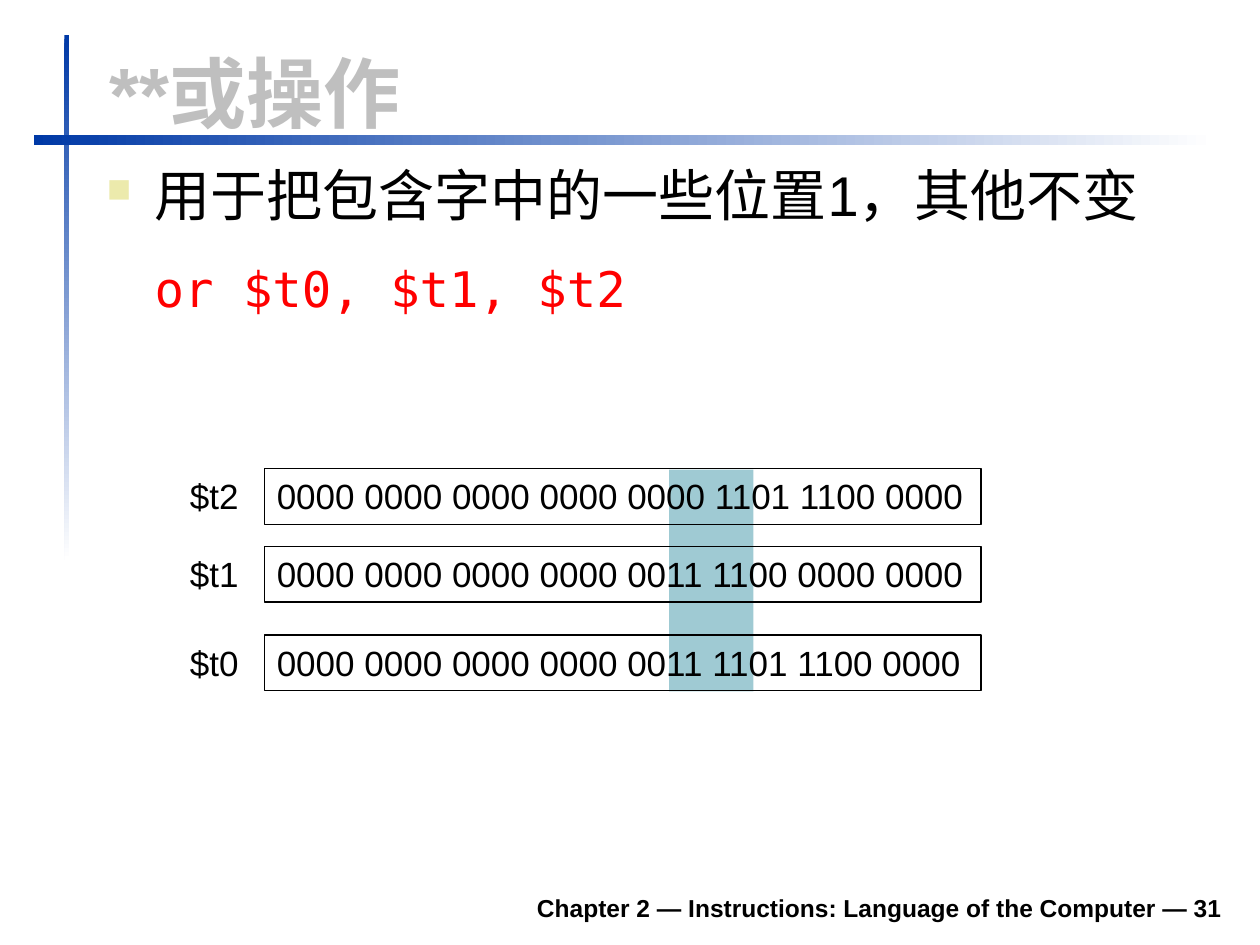
from pptx import Presentation, util as u
from pptx.dml.color import RGBColor
from pptx.enum import shapes, text
from pptx.oxml import xmlchemy as xc

Cm = u.Cm
COLORS = {"rule": "0039A6", "paper": "FFFFFF", "ink": "000000", "title": "BFBFBF",
          "bullet": "ECEAAC", "code": "FF0000", "band": "9FCAD3"}
REGISTERS = [("$t2", "0000 0000 0000 0000 0000 1101 1100 0000", 9.45),
             ("$t1", "0000 0000 0000 0000 0011 1100 0000 0000", 11.02),
             ("$t0", "0000 0000 0000 0000 0011 1101 1100 0000", 12.8)]


def rgb(name):
    return RGBColor.from_string(COLORS[name])


def apply(target, values):
    for key, value in values.items():
        setattr(target, key, value)


def write(paragraph, words, size, color="ink", font="Arial", bold=False):
    run = paragraph.add_run()
    run.text = words
    apply(run.font, {"size": u.Pt(size), "name": font, "bold": bold})
    run.font.color.rgb = rgb(color)


def add_box(slide, left, top, width, height):
    box = slide.shapes.add_shape(shapes.MSO_SHAPE.RECTANGLE,
                                 Cm(left), Cm(top), Cm(width), Cm(height))
    box.shadow.inherit = False
    box.fill.background()
    box.line.fill.background()
    return box


def add_rule(slide, left, top, width, height, angle):
    fill = add_box(slide, left, top, width, height).fill
    fill.gradient()
    fill.gradient_angle = angle
    for stop, color, position in zip(fill.gradient_stops, ("rule", "paper"), (0, 1)):
        stop.color.rgb = rgb(color)
        stop.position = position


def add_label(slide, left, top, width, height, **frame_format):
    frame = slide.shapes.add_textbox(Cm(left), Cm(top), Cm(width), Cm(height)).text_frame
    apply(frame, {"word_wrap": True, **frame_format})
    return frame


def add_bullet(paragraph):
    props = paragraph._p.get_or_add_pPr()
    color = xc.OxmlElement("a:buClr")
    color.append(xc.OxmlElement("a:srgbClr"))
    color[0].set("val", COLORS["bullet"])
    size = xc.OxmlElement("a:buSzPct")
    size.set("val", "60000")
    mark = xc.OxmlElement("a:buChar")
    mark.set("char", "■")
    props.extend([color, size, mark])


def add_body(slide):
    frame = add_label(slide, 1.9, 3.12, 22.96, 5.77)
    purpose = frame.paragraphs[0]
    code = frame.add_paragraph()
    for paragraph, indent in ((purpose, -0.97), (code, 0)):
        props = paragraph._p.get_or_add_pPr()
        props.set("marL", str(Cm(0.97)))
        props.set("indent", str(Cm(indent)))
    add_bullet(purpose)
    apply(code, {"space_before": u.Pt(17.5), "space_after": u.Pt(10.5)})
    write(purpose, "用于把包含字中的一些位置1，其他不变", 32)
    write(code, "or $t0, $t1, $t2", 28, "code", "DejaVu Sans Mono")


def add_register(slide, name, bits, top):
    box = add_box(slide, 5.33, top, 14.45, 1.12)
    box.line.color.rgb = rgb("ink")
    box.line.width = u.Pt(0.75)
    apply(box.text_frame, {"word_wrap": False, "vertical_anchor": text.MSO_ANCHOR.TOP})
    box.text_frame.paragraphs[0].alignment = text.PP_ALIGN.LEFT
    write(box.text_frame.paragraphs[0], bits, 20)
    label = add_label(slide, 3.58, top, 1.5, 1.12, word_wrap=False,
                      auto_size=text.MSO_AUTO_SIZE.SHAPE_TO_FIT_TEXT)
    write(label.paragraphs[0], name, 20)


def main():
    deck = Presentation()
    apply(deck, {"slide_width": Cm(25.4), "slide_height": Cm(19.05)})
    slide = deck.slides.add_slide(deck.slide_layouts[6])

    add_rule(slide, 1.3, 0.71, 0.1, 10.59, 270)
    add_rule(slide, 0.69, 2.72, 23.8, 0.2, 0)

    footer = add_label(slide, 4.7, 17.73, 20.19, 0.99,
                       vertical_anchor=text.MSO_ANCHOR.BOTTOM)
    footer.paragraphs[0].alignment = text.PP_ALIGN.RIGHT
    write(footer.paragraphs[0],
          "Chapter 2 — Instructions: Language of the Computer — 31", 14, bold=True)

    band = add_box(slide, 13.49, 9.47, 1.7, 4.47)
    band.fill.solid()
    band.fill.fore_color.rgb = rgb("band")

    title = add_label(slide, 1.96, 0.79, 22.94, 2.11,
                      vertical_anchor=text.MSO_ANCHOR.BOTTOM,
                      auto_size=text.MSO_AUTO_SIZE.SHAPE_TO_FIT_TEXT)
    write(title.paragraphs[0], "**或操作", 44, "title", bold=True)
    add_body(slide)
    for register in REGISTERS:
        add_register(slide, *register)
    deck.save("out.pptx")


if __name__ == "__main__":
    main()
